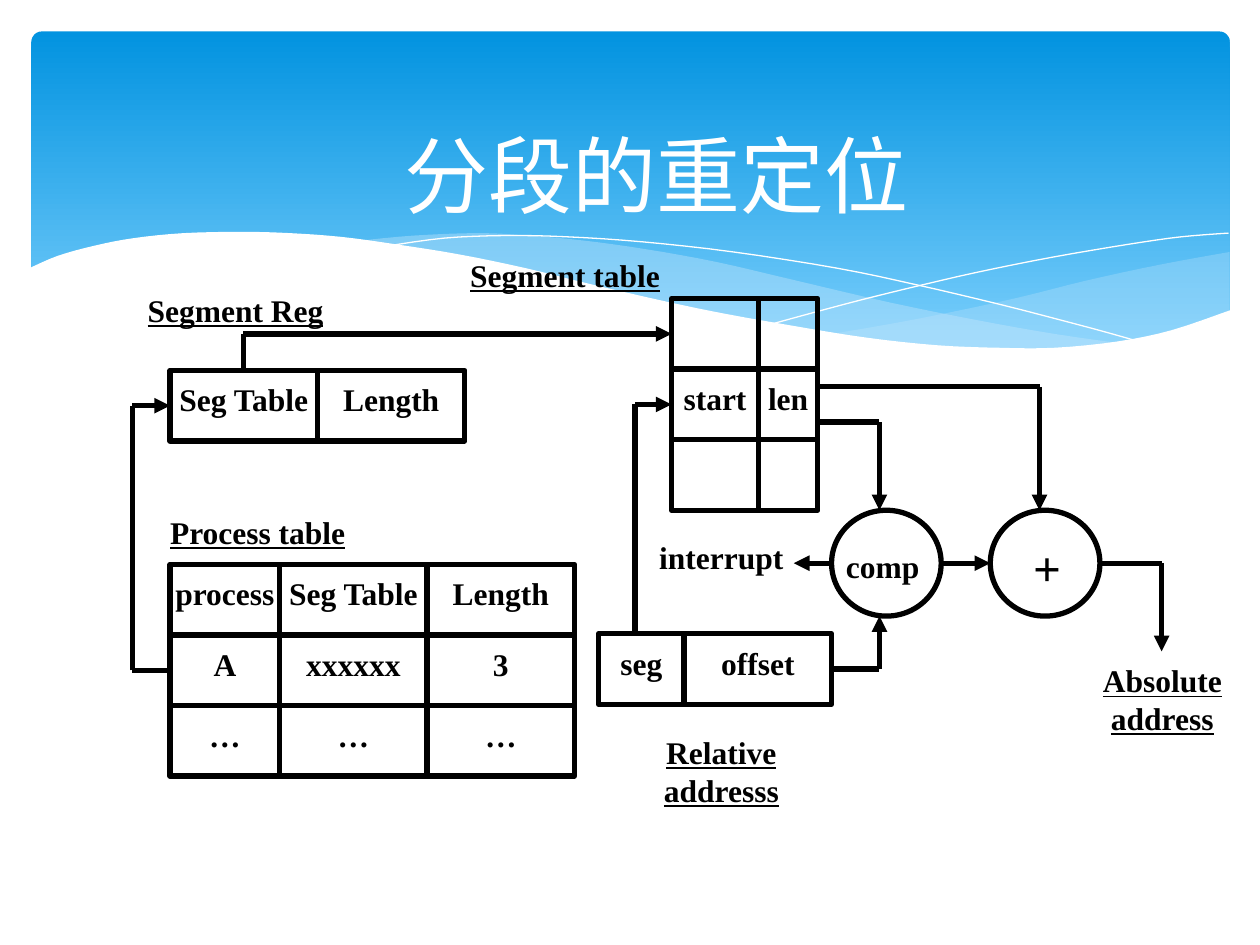
from dataclasses import dataclass

from lxml import etree
from pptx import Presentation
from pptx.dml.color import RGBColor
from pptx.enum import shapes, text
from pptx.oxml import ns
from pptx.util import Inches, Pt

FONT = "Times New Roman"
BLACK, WHITE, PALE = "000000", "FFFFFF", "C6E7FC"
ROW_HEIGHT = 0.56
Point = tuple[float, float]


@dataclass
class Grid:
    left: float
    top: float
    widths: list[float]
    rows: list[list[str]]


@dataclass
class Label:
    content: str
    left: float
    top: float
    width: float
    height: float = ROW_HEIGHT
    size: int = 18
    underline: bool = True
    align: text.PP_ALIGN = text.PP_ALIGN.CENTER


@dataclass
class Wave:
    curves: list[list[Point]]
    fill: str = ""
    opacity: int = 100


WAVES = [
    Wave([[(9.76, 2), (9.21, 2.1), (8.61, 2.23), (8.05, 2.37), (7.29, 2.53), (6.61, 2.65)],
          [(6.61, 2.65), (7.18, 2.73), (7.69, 2.77), (8.14, 2.78), (8.63, 2.75), (9.13, 2.67), (9.76, 2.47)]],
         PALE, 29),
    Wave([[(8.93, 2.73), (8.37, 2.65), (7.75, 2.54), (7.06, 2.4), (6.29, 2.22), (5.69, 2.08), (5.14, 1.98),
           (4.64, 1.91), (4.2, 1.87), (3.8, 1.85), (3.28, 1.87), (2.86, 1.91)],
          [(2.86, 1.91), (3.42, 1.99), (4.04, 2.11), (4.91, 2.32), (5.66, 2.48), (6.34, 2.61), (6.95, 2.7),
           (7.48, 2.76), (7.96, 2.79), (8.48, 2.78), (8.93, 2.73)]], PALE, 40),
    Wave([[(3.09, 1.95), (3.53, 1.89), (4.01, 1.87), (4.5, 1.88), (5.1, 1.92), (5.82, 2), (6.65, 2.13),
           (7.27, 2.26), (7.95, 2.42), (8.68, 2.61), (9.07, 2.72)]]),
    Wave([[(6.13, 2.57), (6.72, 2.41), (7.2, 2.29), (7.76, 2.16), (8.36, 2.04), (8.95, 1.94), (9.37, 1.88),
           (9.75, 1.85)]]),
    Wave([[(9.77, 2.46), (9.3, 2.62), (8.87, 2.71), (8.37, 2.76), (7.93, 2.76), (7.44, 2.74), (6.88, 2.68),
           (6.26, 2.58), (5.55, 2.45), (4.75, 2.27), (4.18, 2.13), (3.65, 2.02), (3.15, 1.94), (2.71, 1.88),
           (2.3, 1.85), (1.93, 1.84), (1.46, 1.85), (1.06, 1.89), (0.75, 1.95), (0.46, 2.03), (0.23, 2.13)],
          [(0.23, 3.29), (9.77, 3.29)]], WHITE),
]

GRIDS = [
    Grid(1.35, 2.94, [1.17, 1.17], [["Seg Table", "Length"]]),
    Grid(1.35, 4.48, [0.87, 1.17, 1.17],
         [["process", "Seg Table", "Length"], ["A", "xxxxxx", "3"], ["…", "…", "…"]]),
    Grid(5.33, 2.37, [0.69, 0.47], [["", ""], ["start", "len"], ["", ""]]),
    Grid(4.75, 5.03, [0.68, 1.17], [["seg", "offset"]]),
]

LABELS = [
    Label("Process table", 1.35, 3.99, 1.61, 0.35, align=text.PP_ALIGN.LEFT),
    Label("Segment table", 3.66, 1.95, 1.65),
    Label("Segment Reg", 0.9, 2.23, 1.94, 0.26),
    Label("Absolute\naddress", 8.64, 5.17, 1.17),
    Label("Relative\naddresss", 5.14, 5.74, 1.17),
    Label("interrupt", 5.14, 4.19, 1.17, underline=False),
    Label("comp", 6.65, 4.26, 0.71, underline=False),
    Label("+", 8.05, 4.19, 0.52, size=28, underline=False),
]

OPERATOR_LEFTS = [6.6, 7.86]

ROUTES = [
    [(1.93, 2.94), (1.93, 2.65), (5.33, 2.65)],
    [(1.35, 5.32), (1.05, 5.32), (1.05, 3.22), (1.35, 3.22)],
    [(5.04, 5.03), (5.04, 3.21), (5.33, 3.21)],
    [(6.5, 3.35), (6.98, 3.35), (6.98, 4.05)],
    [(6.5, 3.07), (8.25, 3.07), (8.25, 4.05)],
    [(6.6, 5.31), (6.98, 5.31), (6.98, 4.89)],
    [(6.6, 4.47), (6.3, 4.47)],
    [(7.47, 4.47), (7.86, 4.47)],
    [(8.73, 4.47), (9.22, 4.47), (9.22, 5.17)],
]


def rgb(value: str) -> RGBColor:
    return RGBColor.from_string(value)


def write(shape, content: str, *, size: int = 18, color: str = BLACK, bold: bool = True,
          underline: bool = False, align=text.PP_ALIGN.CENTER, anchor=text.MSO_ANCHOR.TOP) -> None:
    frame = shape.text_frame
    frame.text = content
    frame.word_wrap = True
    frame.vertical_anchor = anchor
    frame.margin_left = frame.margin_right = frame.margin_bottom = 0
    frame.margin_top = Inches(0.08) if anchor == text.MSO_ANCHOR.TOP else 0
    for paragraph in frame.paragraphs:
        paragraph.alignment = align
        font = paragraph.font
        font.name, font.size, font.bold, font.underline = FONT, Pt(size), bold, underline
        font.color.rgb = rgb(color)


def smooth(knots: list[Point], steps: int = 4) -> list[Point]:
    if len(knots) < 3:
        return knots
    padded = [knots[0], *knots, knots[-1]]
    curve = [knots[0]]
    for a, b, c, d in zip(padded, padded[1:], padded[2:], padded[3:]):
        for step in range(1, steps + 1):
            t = step / steps
            curve.append(tuple(
                (2 * q + (r - p) * t + (2 * p - 5 * q + 4 * r - s) * t**2 + (3 * q - p - 3 * r + s) * t**3) / 2
                for p, q, r, s in zip(a, b, c, d)))
    return curve


def draw_wave(slide, wave: Wave) -> None:
    points = [(Inches(x), Inches(y)) for curve in wave.curves for x, y in smooth(curve)]
    builder = slide.shapes.build_freeform(*points[0])
    builder.add_line_segments(points[1:], close=bool(wave.fill))
    shape = builder.convert_to_shape()
    shape.shadow.inherit = False
    if wave.fill:
        shape.fill.solid()
        shape.fill.fore_color.rgb = rgb(wave.fill)
        shape.line.fill.background()
        color = shape._element.spPr.find(".//" + ns.qn("a:srgbClr"))
        etree.SubElement(color, ns.qn("a:alpha"), val=str(wave.opacity * 1000))
    else:
        shape.fill.background()
        shape.line.color.rgb = rgb(WHITE)
        shape.line.width = Pt(0)


def draw_backdrop(slide) -> None:
    sky = slide.shapes.add_shape(shapes.MSO_SHAPE.ROUNDED_RECTANGLE,
                                 Inches(0.25), Inches(0.25), Inches(9.51), Inches(2.7))
    sky.adjustments[0] = 0.03
    sky.shadow.inherit = False
    sky.line.fill.background()
    sky.fill.gradient()
    sky.fill.gradient_angle = 270
    for stop, color in zip(sky.fill.gradient_stops, ("0293E0", "83D3FE")):
        stop.color.rgb = rgb(color)
    for wave in WAVES:
        draw_wave(slide, wave)


def draw_outline(slide, kind, left: float, top: float, width: float, height: float):
    shape = slide.shapes.add_shape(kind, Inches(left), Inches(top), Inches(width), Inches(height))
    shape.shadow.inherit = False
    shape.fill.background()
    shape.line.color.rgb = rgb(BLACK)
    shape.line.width = Pt(3)
    return shape


def draw_grid(slide, grid: Grid) -> None:
    for row, entries in enumerate(grid.rows):
        for column, entry in enumerate(entries):
            cell = draw_outline(slide, shapes.MSO_SHAPE.RECTANGLE, grid.left + sum(grid.widths[:column]),
                                grid.top + row * ROW_HEIGHT, grid.widths[column], ROW_HEIGHT)
            if entry:
                write(cell, entry)


def draw_label(slide, label: Label) -> None:
    box = slide.shapes.add_textbox(Inches(label.left), Inches(label.top),
                                   Inches(label.width), Inches(label.height))
    write(box, label.content, size=label.size, underline=label.underline, align=label.align)


def draw_route(slide, route: list[Point]) -> None:
    for start, end in zip(route, route[1:]):
        segment = slide.shapes.add_connector(shapes.MSO_CONNECTOR.STRAIGHT,
                                             *(Inches(value) for value in start + end))
        segment.line.color.rgb = rgb(BLACK)
        segment.line.width = Pt(3)
        properties = segment._element.spPr
        if end == route[-1]:
            etree.SubElement(properties.find(ns.qn("a:ln")), ns.qn("a:tailEnd"), type="triangle")
        etree.SubElement(properties, ns.qn("a:effectLst"))


def main() -> None:
    """Build the slide on relocation in a segmented memory."""
    deck = Presentation()
    deck.slide_width, deck.slide_height = Inches(10), Inches(7.5)
    slide = deck.slides.add_slide(deck.slide_layouts[5])
    draw_backdrop(slide)
    title = slide.shapes.title
    title.left, title.top, title.width, title.height = Inches(0.92), Inches(0.93), Inches(8.58), Inches(0.9)
    write(title, "分段的重定位", size=48, color=WHITE, bold=False, anchor=text.MSO_ANCHOR.MIDDLE)
    slide.shapes._spTree.append(title._element)
    for grid in GRIDS:
        draw_grid(slide, grid)
    for left in OPERATOR_LEFTS:
        draw_outline(slide, shapes.MSO_SHAPE.OVAL, left, 4.05, 0.87, 0.84)
    for label in LABELS:
        draw_label(slide, label)
    for route in ROUTES:
        draw_route(slide, route)
    deck.save("out.pptx")


if __name__ == "__main__":
    main()
